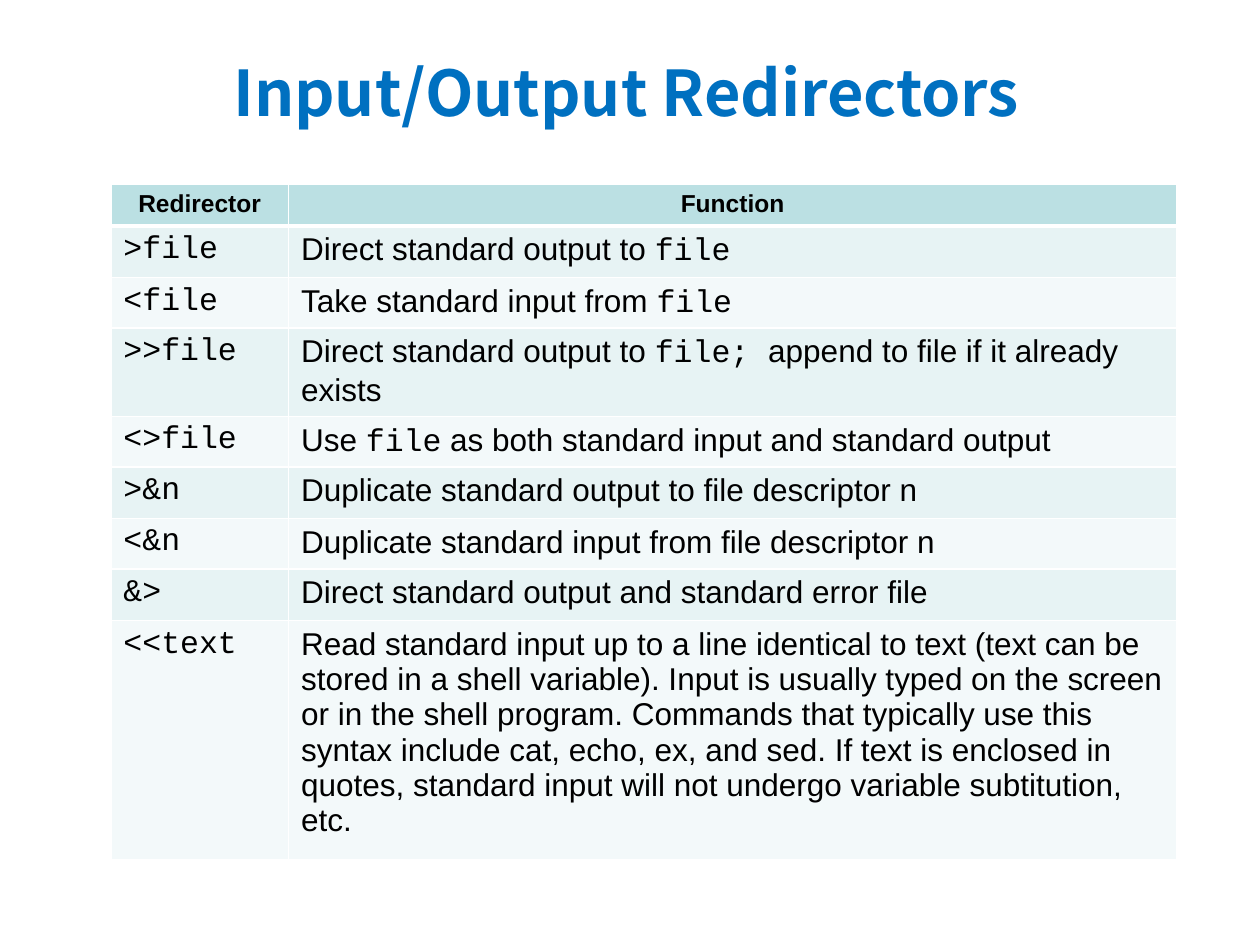
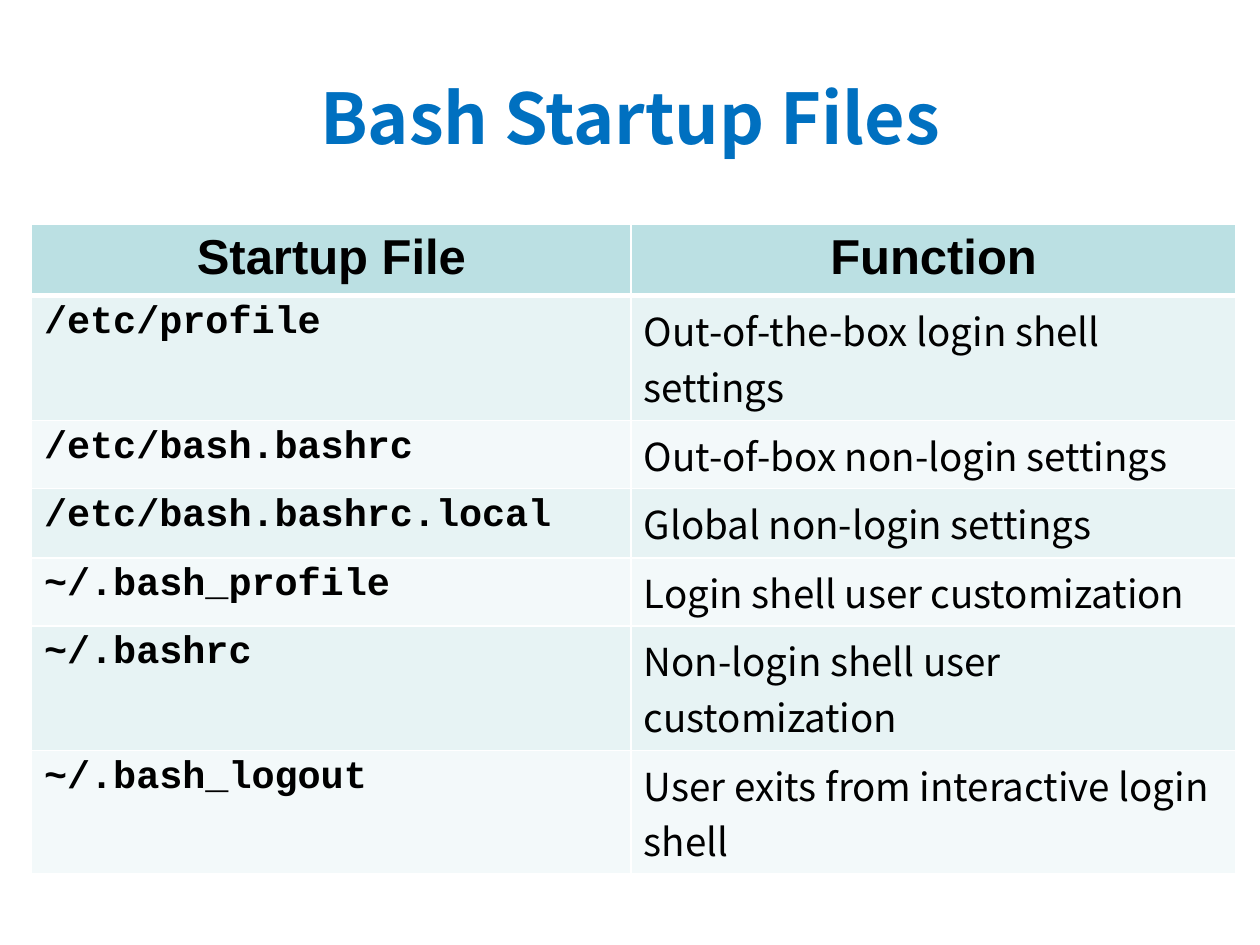
from dataclasses import dataclass

from lxml.etree import Element, SubElement
from pptx import Presentation
from pptx.dml.color import RGBColor
from pptx.enum.text import MSO_ANCHOR, PP_ALIGN
from pptx.oxml.ns import qn
from pptx.util import Inches, Length, Pt


@dataclass(frozen=True)
class Theme:
    """Colours, fonts, type sizes and rules shared by the slides."""

    title_color: RGBColor = RGBColor(0x00, 0x70, 0xC0)
    text_color: RGBColor = RGBColor(0x00, 0x00, 0x00)
    header_fill: RGBColor = RGBColor(0xBB, 0xE0, 0xE3)
    bands: tuple[RGBColor, RGBColor] = (
        RGBColor(0xE7, 0xF3, 0xF4),
        RGBColor(0xF3, 0xF9, 0xFA),
    )
    grid_color: RGBColor = RGBColor(0xFF, 0xFF, 0xFF)
    grid_width: Length = Pt(1)
    header_rule_width: Length = Pt(3)
    title_font: str = "Noto Sans CJK SC"
    sans_font: str = "Arial"
    code_font: str = "Courier New"
    long_title_size: Length = Pt(36)
    title_size: Length = Pt(40)
    small_header_size: Length = Pt(14)
    large_header_size: Length = Pt(28)
    small_body_size: Length = Pt(18)
    large_body_size: Length = Pt(22)


THEME = Theme()


@dataclass(frozen=True)
class Box:
    """A position and size in inches."""

    left: float
    top: float
    width: float
    height: float


@dataclass(frozen=True)
class TextStyle:
    """The look of one run of text."""

    font: str
    size: Length
    bold: bool = False
    color: RGBColor = THEME.text_color


@dataclass(frozen=True)
class Reference:
    """A two-column lookup slide; backticks in an entry mark code."""

    title: str
    title_box: Box
    title_size: Length
    left: float
    top: float
    column_widths: tuple[float, float]
    row_heights: tuple[float, ...]
    headings: tuple[str, str]
    header_size: Length
    term_style: TextStyle
    function_style: TextStyle
    entries: tuple[tuple[str, str], ...]


REDIRECTORS = Reference(
    title="Input/Output Redirectors",
    title_box=Box(0.23, 0.1, 9.48, 1.25),
    title_size=THEME.long_title_size,
    left=0.88,
    top=1.46,
    column_widths=(1.41, 7.05),
    row_heights=(0.32, 0.41, 0.4, 0.69, 0.4, 0.41, 0.4, 0.41, 1.78),
    headings=("Redirector", "Function"),
    header_size=THEME.small_header_size,
    term_style=TextStyle(THEME.code_font, THEME.small_body_size),
    function_style=TextStyle(THEME.sans_font, THEME.small_body_size),
    entries=(
        (">file", "Direct standard output to `file`"),
        ("<file", "Take standard input from `file`"),
        (">>file", "Direct standard output to `file; `append to file if it already exists"),
        ("<>file", "Use `file` as both standard input and standard output"),
        (">&n", "Duplicate standard output to file descriptor n"),
        ("<&n", "Duplicate standard input from file descriptor n"),
        ("&>", "Direct standard output and standard error file"),
        (
            "<<text",
            "Read standard input up to a line identical to text (text can be stored in a "
            "shell variable). Input is usually typed on the screen or in the shell program. "
            "Commands that typically use this syntax include cat, echo, ex, and sed. If text "
            "is enclosed in quotes, standard input will not undergo variable subtitution, etc.",
        ),
    ),
)

STARTUP_FILES = Reference(
    title="Bash Startup Files",
    title_box=Box(0.5, 0.3, 9, 1.25),
    title_size=THEME.title_size,
    left=0.25,
    top=1.78,
    column_widths=(4.76, 4.8),
    row_heights=(0.53, 0.99, 0.54, 0.55, 0.54, 0.99, 0.98),
    headings=("Startup File", "Function"),
    header_size=THEME.large_header_size,
    term_style=TextStyle(THEME.code_font, THEME.large_body_size, bold=True),
    function_style=TextStyle(THEME.title_font, THEME.large_body_size),
    entries=(
        ("/etc/profile", "Out-of-the-box login shell settings"),
        ("/etc/bash.bashrc", "Out-of-box non-login settings"),
        ("/etc/bash.bashrc.local", "Global non-login settings"),
        ("~/.bash_profile", "Login shell user customization"),
        ("~/.bashrc", "Non-login shell user customization"),
        ("~/.bash_logout", "User exits from interactive login shell"),
    ),
)


def add_run(paragraph, text: str, style: TextStyle, font: str | None = None) -> None:
    """Append one styled run, optionally in another font."""
    run = paragraph.add_run()
    run.text = text
    run.font.name = font or style.font
    run.font.size = style.size
    run.font.bold = style.bold
    run.font.color.rgb = style.color


def add_marked_text(paragraph, text: str, style: TextStyle) -> None:
    """Append text, setting the parts between backticks in the code font."""
    for index, part in enumerate(text.split("`")):
        if part:
            add_run(paragraph, part, style, THEME.code_font if index % 2 else None)


def add_title(slide, reference: Reference) -> None:
    """Draw the centred slide title."""
    box = reference.title_box
    frame = slide.shapes.add_textbox(
        Inches(box.left), Inches(box.top), Inches(box.width), Inches(box.height)
    ).text_frame
    frame.word_wrap = True
    frame.vertical_anchor = MSO_ANCHOR.MIDDLE
    heading = frame.paragraphs[0]
    heading.alignment = PP_ALIGN.CENTER
    style = TextStyle(THEME.title_font, reference.title_size, True, THEME.title_color)
    add_run(heading, reference.title, style)


def set_borders(cell, top: Length, bottom: Length) -> None:
    """Rule all four sides of a cell in the grid colour."""
    properties = cell._tc.get_or_add_tcPr()
    sides = {"lnL": THEME.grid_width, "lnR": THEME.grid_width, "lnT": top, "lnB": bottom}
    for index, (side, width) in enumerate(sides.items()):
        line = Element(qn(f"a:{side}"), w=str(int(width)))
        fill = SubElement(line, qn("a:solidFill"))
        SubElement(fill, qn("a:srgbClr"), val=str(THEME.grid_color))
        properties.insert(index, line)


def add_reference_table(slide, reference: Reference) -> None:
    """Draw the header row and the banded entries."""
    table = slide.shapes.add_table(
        len(reference.row_heights),
        len(reference.headings),
        Inches(reference.left),
        Inches(reference.top),
        Inches(sum(reference.column_widths)),
        Inches(sum(reference.row_heights)),
    ).table
    for column, width in zip(table.columns, reference.column_widths):
        column.width = Inches(width)
    for row, height in zip(table.rows, reference.row_heights):
        row.height = Inches(height)

    header_style = TextStyle(THEME.sans_font, reference.header_size, bold=True)
    entry_styles = (reference.term_style, reference.function_style)
    for row_index, texts in enumerate((reference.headings, *reference.entries)):
        is_header = row_index == 0
        styles = (header_style, header_style) if is_header else entry_styles
        top = THEME.header_rule_width if row_index == 1 else THEME.grid_width
        bottom = THEME.header_rule_width if is_header else THEME.grid_width
        for column_index, (text, style) in enumerate(zip(texts, styles)):
            cell = table.cell(row_index, column_index)
            cell.fill.solid()
            cell.fill.fore_color.rgb = (
                THEME.header_fill if is_header else THEME.bands[(row_index - 1) % 2]
            )
            set_borders(cell, top, bottom)
            paragraph = cell.text_frame.paragraphs[0]
            paragraph.alignment = PP_ALIGN.CENTER if is_header else PP_ALIGN.LEFT
            add_marked_text(paragraph, text, style)


def main() -> None:
    """Build and save the presentation."""
    presentation = Presentation()
    presentation.slide_width = Inches(10)
    presentation.slide_height = Inches(7.5)
    for reference in (REDIRECTORS, STARTUP_FILES):
        slide = presentation.slides.add_slide(presentation.slide_layouts[6])
        add_title(slide, reference)
        add_reference_table(slide, reference)
    presentation.save("out.pptx")


if __name__ == "__main__":
    main()
